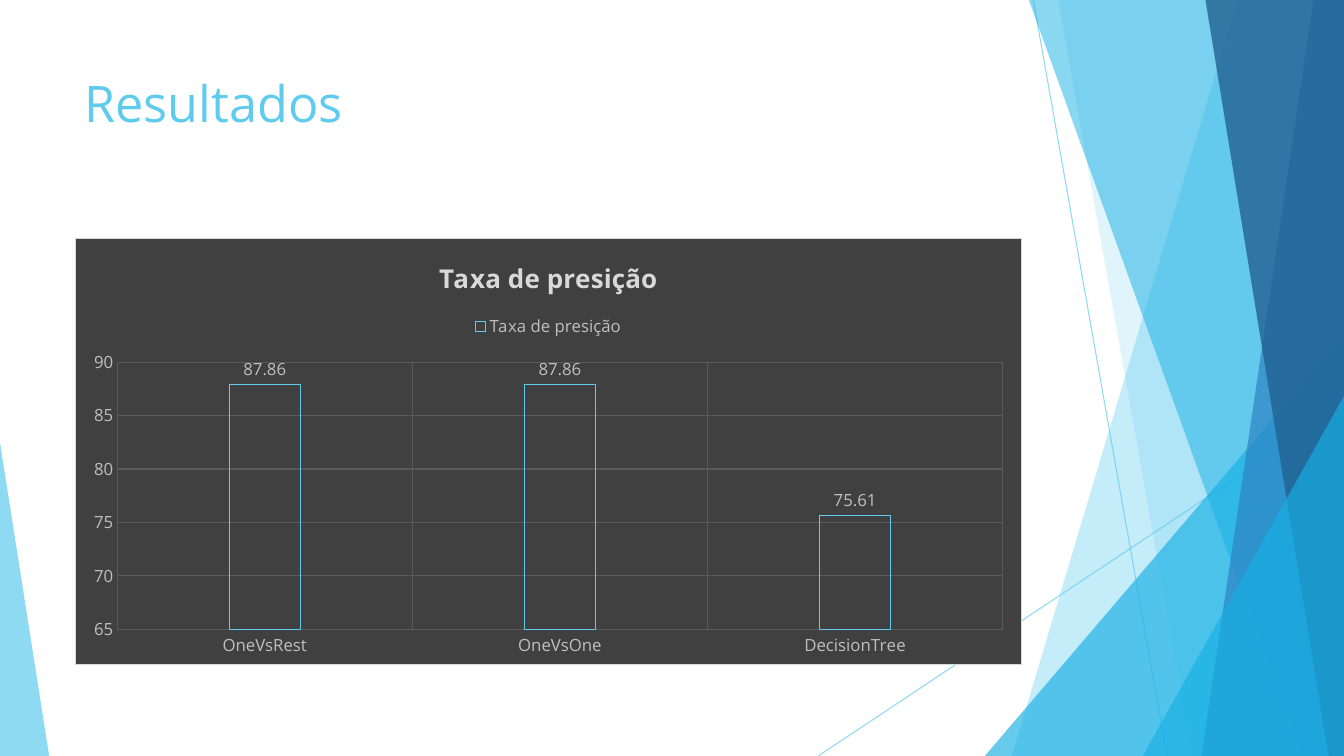
import lxml.etree
import pptx
import pptx.util
import pptx.chart.data
import pptx.dml.color
import pptx.enum.chart
import pptx.enum.shapes
import pptx.enum.text
import pptx.oxml
import pptx.oxml.ns

Cm, Pt = pptx.util.Cm, pptx.util.Pt
FONT = "Open Sans"
HEX = {"sky": "5FCBEF", "cyan": "17B0E4", "blue": "2E83C3", "navy": "226292",
       "panel": "404040", "grid": "595959", "label": "BFBFBF", "title": "D9D9D9"}
WIDE, HIGH = 33.87, 19.05

HEADING = "Resultados"
NAME = "Taxa de presição"
RATES = {"OneVsRest": 87.86, "OneVsOne": 87.86, "DecisionTree": 75.61}

# Thin lines: x1, y1, x2, y2 in cm
LINES = [(26.04, 0, 29.41, HIGH), (WIDE, 10.24, 20.62, HIGH)]
# Facets from back to front. band: top x, bottom x, reaching the right edge.
# peak: left, top, width, place of the apex, standing on the bottom edge.
FACETS = [
    ("band", (31.19, 25.5), "sky", 36),
    ("band", (26.67, 30.05), "sky", 20),
    ("peak", (24.82, 8.46, 9.05, 1), "cyan", 66),
    ("band", (25.93, 32.79), "cyan", 50),
    ("band", (33.1, 30.28), "blue", 70),
    ("band", (30.38, 33.48), "navy", 80),
    ("peak", (28.8, 9.98, 5.07, 1), "cyan", 66),
    ("peak", (0, 11.15, 1.24, 0), "sky", 70),
]
LEFT, SPAN = 1.88, 23.88


def tint(key):
    """Return the colour of a key."""
    return pptx.dml.color.RGBColor.from_string(HEX[key])


def fade(part, share):
    """Set the opacity of the solid colour inside an XML part."""
    qn = pptx.oxml.ns.qn
    for clr in part.findall(".//" + qn("a:srgbClr")):
        node = lxml.etree.SubElement(clr, qn("a:alpha"))
        node.set("val", str(share * 1000))


def style(font, size, key, bold=False):
    """Format a font."""
    font.name, font.size, font.bold = FONT, Pt(size), bold
    font.color.rgb = tint(key)


def stroke(line, key):
    """Give a thin solid line."""
    line.color.rgb = tint(key)
    line.width = Pt(0.75)


def draw_line(shapes, ends):
    """Draw one thin translucent line."""
    line = shapes.add_connector(pptx.enum.shapes.MSO_CONNECTOR.STRAIGHT,
                                *[Cm(v) for v in ends])
    stroke(line.line, "sky")
    props = line._element.spPr
    fade(props, 70)
    lxml.etree.SubElement(props, pptx.oxml.ns.qn("a:effectLst"))


def draw_facet(shapes, kind, place, key, share):
    """Draw one translucent band or peak."""
    if kind == "band":
        top, low = place
        pen = shapes.build_freeform(Cm(top), Cm(0))
        rest = [(WIDE, 0), (WIDE, HIGH), (low, HIGH)]
        pen.add_line_segments([(Cm(x), Cm(y)) for x, y in rest])
        facet = pen.convert_to_shape()
    else:
        left, top, width, apex = place
        facet = shapes.add_shape(
            pptx.enum.shapes.MSO_SHAPE.ISOSCELES_TRIANGLE,
            Cm(left), Cm(top), Cm(width), Cm(HIGH - top))
        facet.adjustments[0] = apex
    facet.shadow.inherit = False
    facet.fill.solid()
    facet.fill.fore_color.rgb = tint(key)
    facet.line.fill.background()
    fade(facet._element.spPr, share)


def draw_head(shapes):
    """Write the slide heading."""
    box = shapes.add_textbox(Cm(LEFT), Cm(1.7), Cm(SPAN), Cm(3.66))
    frame = box.text_frame
    frame.word_wrap = True
    frame.vertical_anchor = pptx.enum.text.MSO_ANCHOR.TOP
    frame.text = HEADING
    style(frame.paragraphs[0].runs[0].font, 36, "sky")


def paint_panel(chart):
    """Fill and frame the whole chart area."""
    space = chart._chartSpace
    ns = pptx.oxml.ns
    fill = '<a:solidFill><a:srgbClr val="%s"/></a:solidFill>'
    props = pptx.oxml.parse_xml(
        "<c:spPr %s>%s<a:ln w='9525'>%s</a:ln></c:spPr>" % (
            ns.nsdecls("c", "a"), fill % HEX["panel"], fill % HEX["title"]))
    space.find(ns.qn("c:chart")).addnext(props)


def draw_chart(shapes):
    """Draw the column chart of rates."""
    data = pptx.chart.data.CategoryChartData()
    data.categories = list(RATES)
    data.add_series(NAME, list(RATES.values()))
    enum = pptx.enum.chart
    chart = shapes.add_chart(enum.XL_CHART_TYPE.COLUMN_CLUSTERED, Cm(LEFT),
                             Cm(6), Cm(SPAN), Cm(10.77), data).chart
    style(chart.font, 12, "label")
    paint_panel(chart)

    chart.has_title = True
    frame = chart.chart_title.text_frame
    frame.text = NAME
    style(frame.paragraphs[0].runs[0].font, 18.6, "title", True)
    chart.chart_title.include_in_layout = False

    chart.has_legend = True
    chart.legend.position = enum.XL_LEGEND_POSITION.TOP
    chart.legend.include_in_layout = False
    style(chart.legend.font, 12, "label")

    for axis in (chart.category_axis, chart.value_axis):
        axis.has_major_gridlines = True
        stroke(axis.major_gridlines.format.line, "grid")
        axis.format.line.fill.background()
        axis.major_tick_mark = enum.XL_TICK_MARK.NONE
        axis.minor_tick_mark = enum.XL_TICK_MARK.NONE
        style(axis.tick_labels.font, 12, "label")
    scale = chart.value_axis
    scale.minimum_scale, scale.maximum_scale, scale.major_unit = 65, 90, 5

    plot = chart.plots[0]
    plot.gap_width, plot.overlap = 315, -40
    plot.vary_by_categories = False
    bars = plot.series[0]
    bars.format.fill.background()
    stroke(bars.format.line, "sky")
    labels = bars.data_labels
    labels.show_value = True
    labels.position = enum.XL_LABEL_POSITION.OUTSIDE_END
    style(labels.font, 12, "label")


deck = pptx.Presentation()
deck.slide_width, deck.slide_height = Cm(WIDE), Cm(HIGH)
shapes = deck.slides.add_slide(deck.slide_layouts[6]).shapes
for ends in LINES:
    draw_line(shapes, ends)
for facet in FACETS:
    draw_facet(shapes, *facet)
draw_head(shapes)
draw_chart(shapes)
deck.save("out.pptx")
